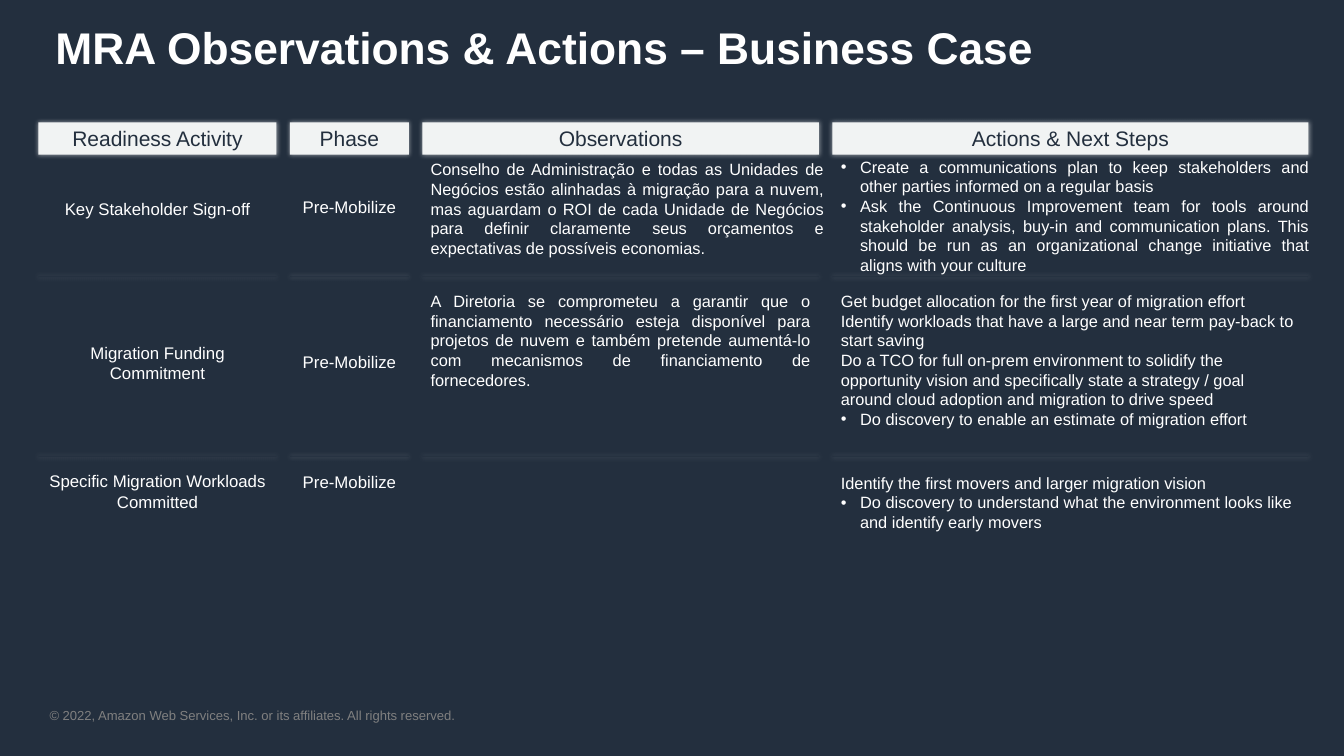
from dataclasses import dataclass
from typing import Optional

from lxml import etree
from pptx import Presentation
from pptx.dml.color import RGBColor
from pptx.enum.shapes import MSO_SHAPE
from pptx.enum.text import MSO_ANCHOR, MSO_AUTO_SIZE, PP_ALIGN
from pptx.oxml.ns import qn
from pptx.util import Pt

RECT = MSO_SHAPE.RECTANGLE
TOP, MIDDLE = MSO_ANCHOR.TOP, MSO_ANCHOR.MIDDLE
LEFT, CENTER, JUSTIFY = PP_ALIGN.LEFT, PP_ALIGN.CENTER, PP_ALIGN.JUSTIFY
NO_AUTOSIZE = MSO_AUTO_SIZE.NONE
COMPARISON_LAYOUT = 4


@dataclass(frozen=True)
class Theme:
    font: str = "Arial"
    navy: str = "232F3E"
    pale: str = "F1F3F3"
    white: str = "FFFFFF"
    grey: str = "808080"
    title: float = 38
    header: float = 18
    label: float = 14.4
    body: float = 14
    footer: float = 11.2


@dataclass(frozen=True)
class Column:
    heading: str
    width: float


@dataclass(frozen=True)
class Box:
    top: float
    height: float
    extra_width: float = 0


@dataclass(frozen=True)
class Item:
    text: str
    bullet: bool = False


@dataclass(frozen=True)
class Row:
    activity: str
    observation: str
    actions: list[Item]
    boxes: list[Box]
    anchor: MSO_ANCHOR = MIDDLE
    actions_align: PP_ALIGN = LEFT
    rule_top: Optional[float] = None


THEME = Theme()
PHASE = "Pre-Mobilize"
MARGIN, GAP, INDENT = 33, 11.5, 16.5
HEADER_TOP, HEADER_HEIGHT, RULE_HEIGHT = 105, 27.5, 0.7

COLUMNS = [
    Column("Readiness Activity", 204),
    Column("Phase", 102),
    Column("Observations", 340),
    Column("Actions & Next Steps", 408),
]
LEFTS = [MARGIN + sum(c.width + GAP for c in COLUMNS[:i]) for i in range(len(COLUMNS))]

ROWS = [
    Row(
        "Key Stakeholder Sign-off",
        "Conselho de Administração e todas as Unidades de Negócios estão alinhadas à "
        "migração para a nuvem, mas aguardam o ROI de cada Unidade de Negócios para "
        "definir claramente seus orçamentos e expectativas de possíveis economias.",
        [
            Item("Create a communications plan to keep stakeholders and other parties "
                 "informed on a regular basis", True),
            Item("Ask the Continuous Improvement team for tools around stakeholder "
                 "analysis, buy-in and communication plans. This should be run as an "
                 "organizational change initiative that aligns with your culture", True),
        ],
        [Box(133.2, 92), Box(132.5, 90), Box(133.2, 92, 11.5), Box(131, 108.7, 8)],
        actions_align=JUSTIFY,
        rule_top=236.9,
    ),
    Row(
        "Migration Funding Commitment",
        "A Diretoria se comprometeu a garantir que o financiamento necessário esteja "
        "disponível para projetos de nuvem e também pretende aumentá-lo com mecanismos "
        "de financiamento de fornecedores.",
        [
            Item("Get budget allocation for the first year of migration effort"),
            Item("Identify workloads that have a large and near term pay-back to start saving"),
            Item("Do a TCO for full on-prem environment to solidify the opportunity vision "
                 "and specifically state a strategy / goal around cloud adoption and "
                 "migration to drive speed"),
            Item("Do discovery to enable an estimate of migration effort", True),
        ],
        [Box(246.2, 129.6), Box(246.2, 128.2), Box(246.2, 75), Box(246.2, 126)],
        rule_top=390.8,
    ),
    Row(
        "Specific Migration Workloads Committed",
        "",
        [
            Item("Identify the first movers and larger migration vision"),
            Item("Do discovery to understand what the environment looks like and "
                 "identify early movers", True),
        ],
        [Box(400.3, 75), Box(401, 75), Box(401, 75), Box(401.8, 58)],
        anchor=TOP,
    ),
]


def place(s, left: float, top: float, width: float, height: float):
    s.left, s.top, s.width, s.height = Pt(left), Pt(top), Pt(width), Pt(height)
    return s


def set_bullet(p, bullet: bool) -> None:
    pPr = p._p.get_or_add_pPr()
    indent = Pt(INDENT) if bullet else 0
    pPr.set("marL", str(indent))
    pPr.set("indent", str(-indent))
    if bullet:
        etree.SubElement(pPr, qn("a:buFont"), typeface=THEME.font)
        etree.SubElement(pPr, qn("a:buChar"), char="•")
    else:
        etree.SubElement(pPr, qn("a:buNone"))


def write(s, items: list[Item], *, size: float, color: str = THEME.white,
          bold: bool = False, align: PP_ALIGN = LEFT, anchor: MSO_ANCHOR = TOP,
          inset: tuple[float, float] = (7.2, 3.6)) -> None:
    tf = s.text_frame
    tf.word_wrap, tf.auto_size, tf.vertical_anchor = True, NO_AUTOSIZE, anchor
    tf.margin_left = tf.margin_right = Pt(inset[0])
    tf.margin_top = tf.margin_bottom = Pt(inset[1])
    for i, item in enumerate(items):
        p = tf.add_paragraph() if i else tf.paragraphs[0]
        set_bullet(p, item.bullet)
        p.alignment, p.space_before, p.space_after = align, Pt(0), Pt(0)
        r = p.add_run()
        r.text = item.text
        r.font.name, r.font.size, r.font.bold = THEME.font, Pt(size), bold
        r.font.color.rgb = RGBColor.from_string(color)


def add_glowing_bar(slide, left: float, top: float, width: float, height: float, fill: str):
    """Add a borderless bar with a soft white halo."""
    s = slide.shapes.add_shape(RECT, Pt(left), Pt(top), Pt(width), Pt(height))
    s.fill.solid()
    s.fill.fore_color.rgb = RGBColor.from_string(fill)
    s.line.fill.background()
    s.shadow.inherit = False
    effects = s._element.spPr.find(qn("a:effectLst"))
    shadow = etree.SubElement(effects, qn("a:outerShdw"), blurRad=str(Pt(4)), dist="0",
                              dir="0", algn="ctr", rotWithShape="0")
    color = etree.SubElement(shadow, qn("a:srgbClr"), val=THEME.white)
    etree.SubElement(color, qn("a:alpha"), val="50000")
    return s


def add_row(slide, row: Row, actions) -> None:
    areas = [(left, box.top, column.width + box.extra_width, box.height)
             for left, column, box in zip(LEFTS, COLUMNS, row.boxes)]
    cells = [
        (row.activity, THEME.label, CENTER, row.anchor),
        (PHASE, THEME.label, CENTER, row.anchor),
        (row.observation, THEME.body, JUSTIFY, TOP),
    ]
    for area, (text, size, align, anchor) in zip(areas, cells):
        if text:
            s = slide.shapes.add_textbox(*map(Pt, area))
            write(s, [Item(text)], size=size, align=align, anchor=anchor)
    write(place(actions, *areas[-1]), row.actions, size=THEME.body, align=row.actions_align)
    if row.rule_top is not None:
        for left, column in zip(LEFTS, COLUMNS):
            add_glowing_bar(slide, left, row.rule_top, column.width, RULE_HEIGHT, THEME.navy)


def main() -> None:
    prs = Presentation()
    prs.slide_width, prs.slide_height = Pt(1152), Pt(648)
    slide = prs.slides.add_slide(prs.slide_layouts[COMPARISON_LAYOUT])
    slide.background.fill.solid()
    slide.background.fill.fore_color.rgb = RGBColor.from_string(THEME.navy)
    title, *bodies = slide.placeholders
    write(place(title, 40.3, 8.6, 1090, 63.4), [Item("MRA Observations & Actions – Business Case")],
          size=THEME.title, bold=True, anchor=MIDDLE)
    for left, column in zip(LEFTS, COLUMNS):
        s = add_glowing_bar(slide, left, HEADER_TOP, column.width, HEADER_HEIGHT, THEME.pale)
        write(s, [Item(column.heading)], size=THEME.header, color=THEME.navy,
              align=CENTER, anchor=MIDDLE)
    for row, actions in zip(ROWS, bodies):
        add_row(slide, row, actions)
    for unused in bodies[len(ROWS):]:
        unused._element.getparent().remove(unused._element)
    footer = slide.shapes.add_textbox(Pt(42.5), Pt(606.2), Pt(560), Pt(13.7))
    write(footer, [Item("© 2022, Amazon Web Services, Inc. or its affiliates. All rights reserved.")],
          size=THEME.footer, color=THEME.grey, inset=(0, 0))
    prs.save("out.pptx")


if __name__ == "__main__":
    main()
